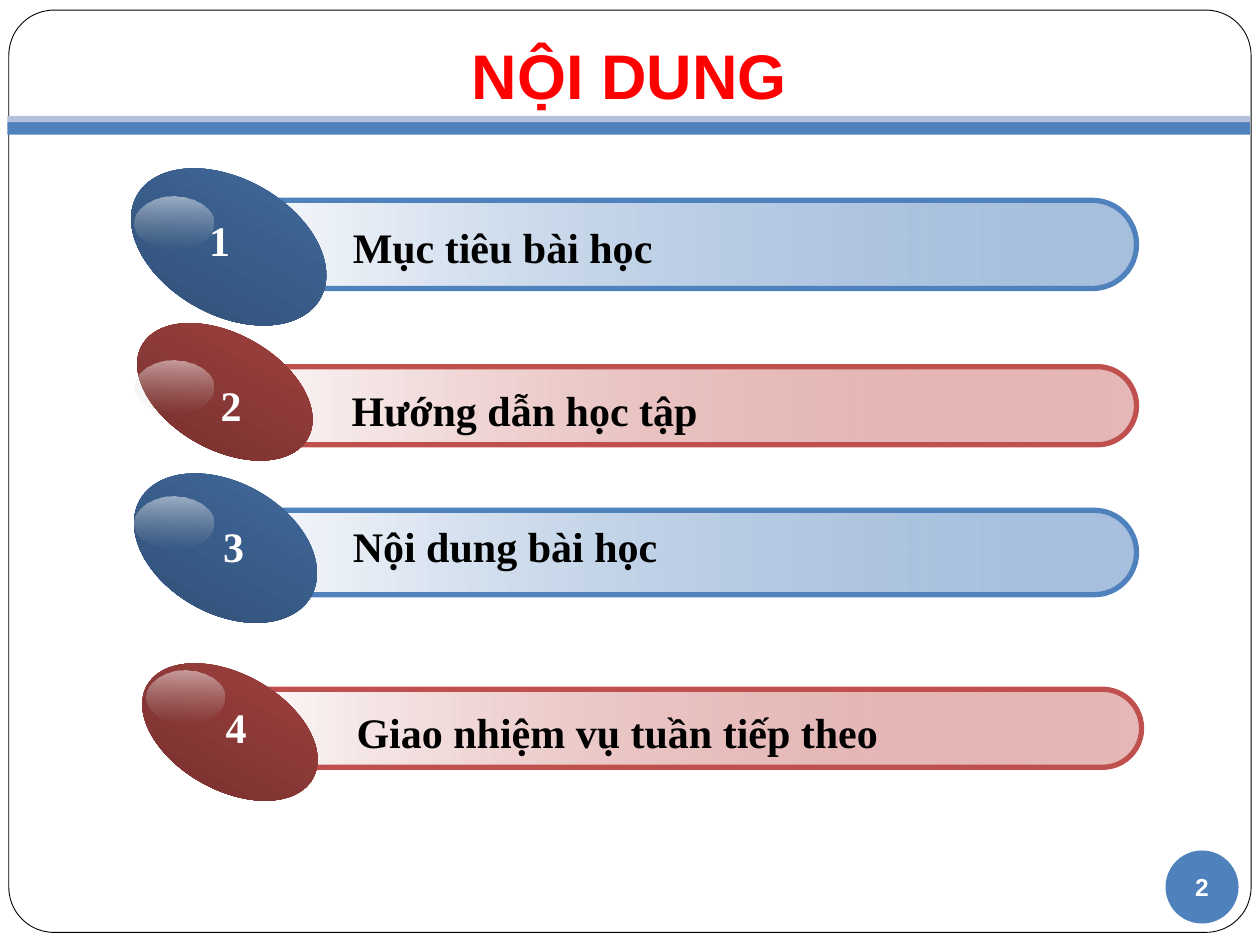
"""Build the table-of-contents slide with four numbered bars."""
from pptx import Presentation
from pptx.dml.color import RGBColor
from pptx.enum.shapes import MSO_SHAPE as SHAPE
from pptx.enum.text import MSO_ANCHOR as ANCHOR, PP_ALIGN as ALIGN
from pptx.oxml.ns import qn
from pptx.util import Inches, Pt
from lxml import etree

COLORS = {
    "white": "FFFFFF", "black": "000000", "title": "FF0000",
    "blue": "4F81BD", "blue_top": "436EA2", "blue_bottom": "2F4B70",
    "red": "C0504D", "red_top": "A54441", "red_bottom": "702D2C",
    "pale": "B3C1DB", "gray": "B6B6B6",
}


def add_text(text, box=None, sp=None, font="Times New Roman", size=24, color="black",
             align=ALIGN.LEFT, anchor=ANCHOR.TOP, margins=(0.1, 0.05, 0.1, 0.05), wrap=True):
    sp = sp or s.shapes.add_textbox(*map(Inches, box))
    tf = sp.text_frame
    tf.word_wrap = wrap
    tf.vertical_anchor = anchor
    tf.margin_left, tf.margin_top, tf.margin_right, tf.margin_bottom = map(Inches, margins)
    p = tf.paragraphs[0]
    p.alignment = align
    r = p.add_run()
    r.text = text
    r.font.name, r.font.size, r.font.bold = font, Pt(size), True
    r.font.color.rgb = RGBColor.from_string(COLORS[color])


def add_shape(kind, box, fill, line=None, width=0, angle=0, alphas=(100, 100), adj=None, rot=0):
    sp = s.shapes.add_shape(kind, *map(Inches, box))
    sp.shadow.inherit = False
    sp.rotation = rot
    if adj is not None:
        sp.adjustments[0] = adj
    if isinstance(fill, str):
        sp.fill.solid()
        sp.fill.fore_color.rgb = RGBColor.from_string(COLORS[fill])
    else:
        sp.fill.gradient()
        sp.fill.gradient_angle = angle
        for stop, name, alpha in zip(sp.fill.gradient_stops, fill, alphas):
            stop.color.rgb = RGBColor.from_string(COLORS[name])
        grad = sp._element.spPr.find(qn("a:gradFill"))
        for clr, alpha in zip(grad.iter(qn("a:srgbClr")), alphas):
            if alpha < 100:
                etree.SubElement(clr, qn("a:alpha")).set("val", str(alpha * 1000))
        for gs, pos in zip(grad.iter(qn("a:gs")), (0, 100000)):
            gs.set("pos", str(pos))
    if line:
        sp.line.color.rgb = RGBColor.from_string(COLORS[line])
        sp.line.width = Pt(width)
    else:
        sp.line.fill.background()
    return sp


prs = Presentation()
prs.slide_width, prs.slide_height = Inches(10), Inches(7.5)
s = prs.slides.add_slide(prs.slide_layouts[6])

add_shape(SHAPE.ROUNDED_RECTANGLE, (0.07, 0.08, 9.86, 7.32), "white", "black", 0.5, adj=0.049)
add_shape(SHAPE.RECTANGLE, (0.06, 0.97, 9.86, 0.1), "blue")
add_shape(SHAPE.RECTANGLE, (0.06, 0.92, 9.86, 0.05), "pale")
add_text("NỘI DUNG", (0.33, 0.07, 9.33, 0.92), font="Arial", size=36, color="title",
         align=ALIGN.CENTER, anchor=ANCHOR.BOTTOM, margins=(0.1, 0.05, 0.1, 0.1))
badge = add_shape(SHAPE.OVAL, (9.25, 6.75, 0.58, 0.58), "blue")
add_text("2", sp=badge, font="Arial", size=14, color="white", align=ALIGN.CENTER,
         anchor=ANCHOR.MIDDLE, margins=(0, 0, 0, 0), wrap=False)

rows = [
    ("Mục tiêu bài học", "blue", 50, (1.73, 1.59, 7.29, 0.7), (0.98, 1.42, 1.67, 1.08),
     (1.07, 1.56), (2.45, 1.71), (1.48, 1.65)),
    ("Hướng dẫn học tập", "red", 40, (1.73, 2.91, 7.29, 0.62), (1.03, 2.65, 1.51, 0.92),
     (1.07, 2.86), (2.44, 3), (1.57, 2.96)),
    ("Nội dung bài học", "blue", 50, (1.73, 4.05, 7.29, 0.67), (1.01, 3.83, 1.56, 1.04),
     (1.07, 3.94), (2.45, 4.08), (1.59, 4.08)),
    ("Giao nhiệm vụ tuần tiếp theo", "red", 40, (1.77, 5.47, 7.29, 0.62), (1.07, 5.35, 1.51, 0.92),
     (1.16, 5.32), (2.48, 5.56), (1.61, 5.52)),
]
for number, (label, hue, alpha, bar, egg, gloss, label_at, number_at) in enumerate(rows, 1):
    add_shape(SHAPE.ROUNDED_RECTANGLE, bar, ("white", hue), hue, 3, alphas=(100, alpha), adj=0.5)
    add_shape(SHAPE.OVAL, egg, (f"{hue}_top", f"{hue}_bottom"), angle=270, rot=29.3)
    add_shape(SHAPE.OVAL, (*gloss, 0.62, 0.42), ("white", "gray"), angle=270, alphas=(50, 0))
    add_text(label, (*label_at, 5.8, 0.5), margins=(0.35, 0.05, 0.1, 0.05))
    add_text(str(number), (*number_at, 0.45, 0.5), color="white",
             margins=(0.18, 0.05, 0.1, 0.05), wrap=False)

prs.save("out.pptx")
